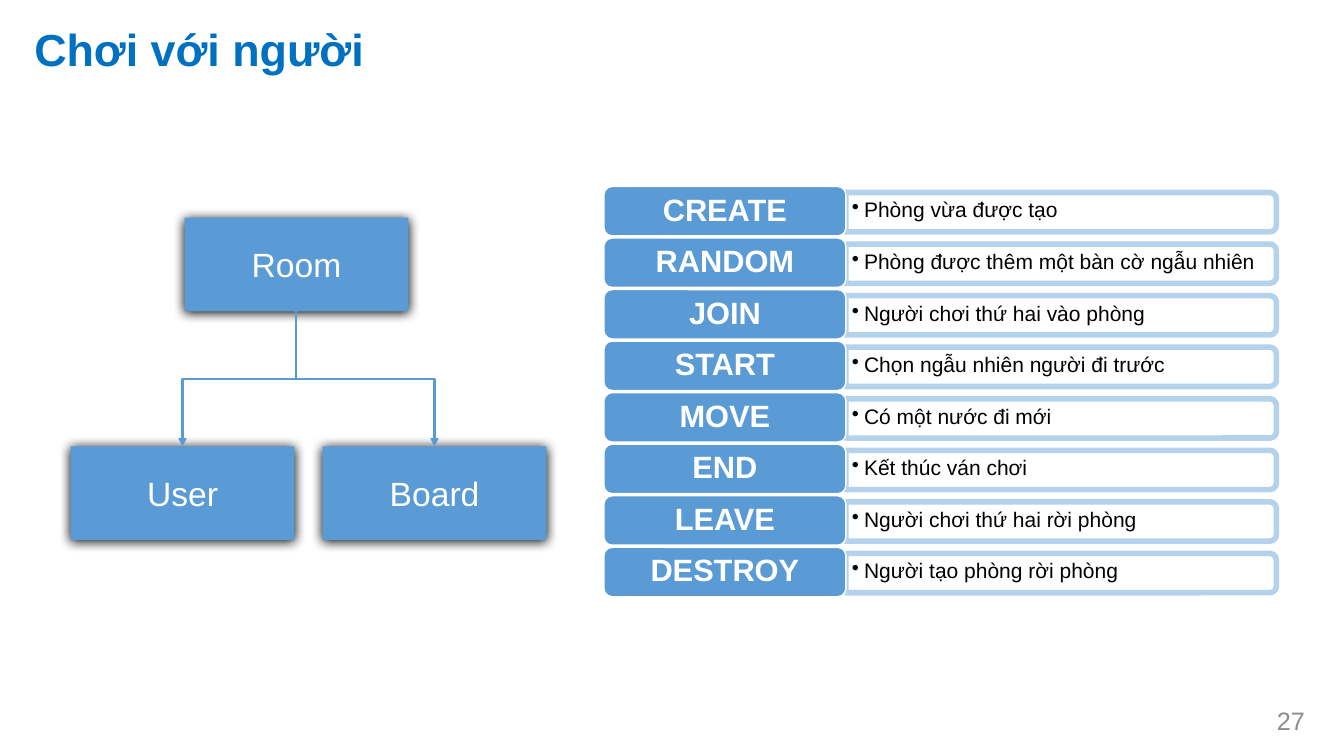
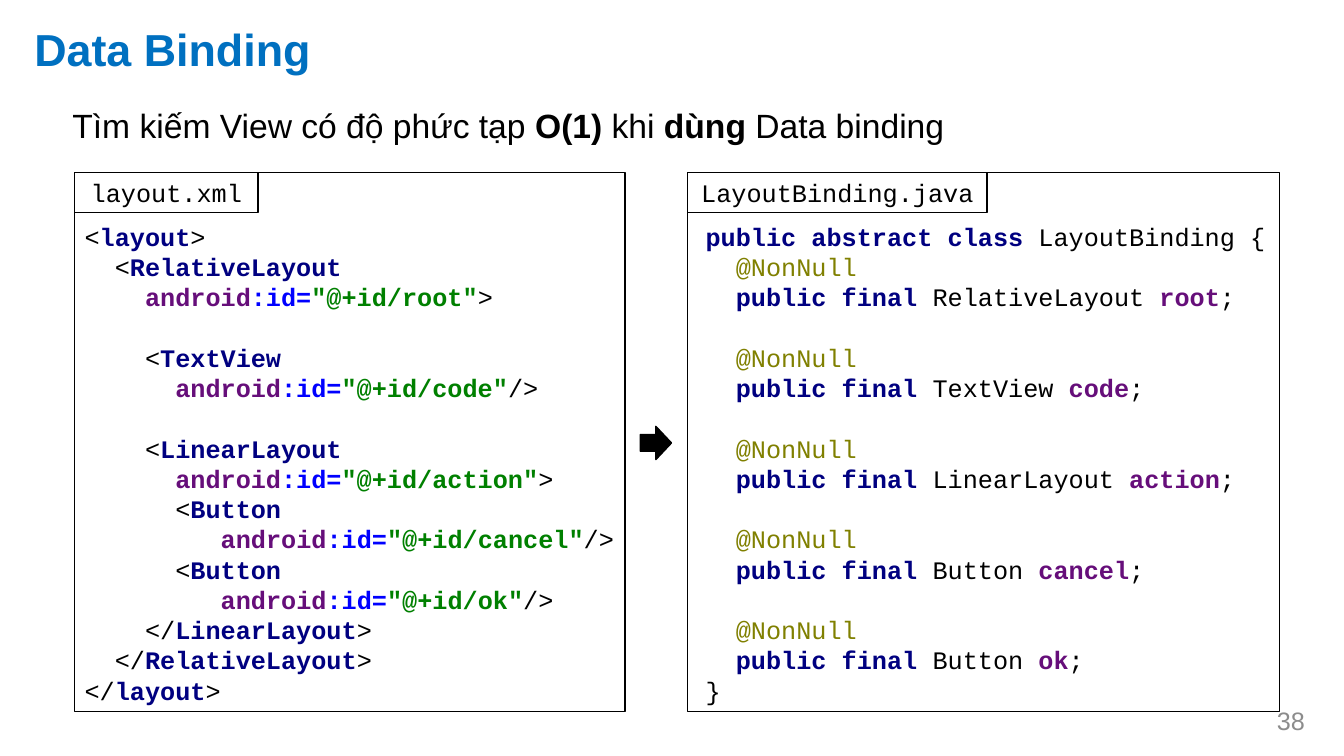
import copy

import pptx
import pptx.dml.color
import pptx.enum.shapes
import pptx.enum.text
import pptx.oxml
import pptx.oxml.ns
import pptx.util
from pptx.util import Inches

RGBColor = pptx.dml.color.RGBColor
Shape = pptx.enum.shapes.MSO_SHAPE
Anchor = pptx.enum.text.MSO_ANCHOR
Align = pptx.enum.text.PP_ALIGN

WHITE = RGBColor(0xFF, 0xFF, 0xFF)
BLACK = RGBColor(0, 0, 0)
TITLE_BLUE = RGBColor(0x00, 0x70, 0xC0)
BOX_BLUE = RGBColor(0x5B, 0x9B, 0xD5)
PALE_BLUE = RGBColor(0xB5, 0xD2, 0xEC)
PAGE_GREY = RGBColor(0x8C, 0x8C, 0x8C)
NAVY = RGBColor(0x00, 0x00, 0x80)
PURPLE = RGBColor(0x66, 0x0E, 0x7A)
ATTRIBUTE_BLUE = RGBColor(0x00, 0x00, 0xFF)
GREEN = RGBColor(0x00, 0x80, 0x00)
OLIVE = RGBColor(0x80, 0x80, 0x00)

SANS = "Arial"
MONO = "Courier New"
NS = pptx.oxml.ns.nsdecls("a")
MIDDLE = {"vertical_anchor": Anchor.MIDDLE, "word_wrap": True}
LEFT = {"alignment": Align.LEFT}
CENTER = {"alignment": Align.CENTER}


def write(shape, runs, font, frame, layout):
    for key, value in frame.items():
        setattr(shape.text_frame, key, value)
    paragraph = shape.text_frame.paragraphs[0]
    for key, value in layout.items():
        setattr(paragraph, key, value)
    for text, color, bold in runs:
        for index, piece in enumerate(text.split("\n")):
            if index:
                paragraph.add_line_break()
            run = paragraph.add_run()
            run.text = piece
            for key, value in {**font, "bold": bold}.items():
                setattr(run.font, key, value)
            run.font.color.rgb = color
            if index:
                line_break = run._r.getprevious()
                line_break.append(copy.deepcopy(run._r.rPr))
            if not piece:
                paragraph._p.remove(run._r)
    return paragraph


def add_box(slide, kind, at, fill=None, line=None, weight=1):
    box = slide.shapes.add_shape(kind, *map(Inches, at))
    box.shadow.inherit = False
    for part, color in ((box.fill, fill), (box.line.fill, line)):
        if color is None:
            part.background()
        else:
            part.solid()
            part.fore_color.rgb = color
    if line is not None:
        box.line.width = pptx.util.Pt(weight)
    return box


deck = pptx.Presentation()
deck.slide_width = Inches(13.33)
deck.slide_height = Inches(7.5)

slides = []
for heading, number in (("Chơi với người", "27"), ("Data Binding", "38")):
    slide = deck.slides.add_slide(deck.slide_layouts[5])
    title = slide.shapes.title
    for key, value in zip(("left", "top", "width", "height"), (0.24, 0.17, 12.8, 0.64)):
        setattr(title, key, Inches(value))
    write(title, [(heading, TITLE_BLUE, True)],
          {"name": SANS, "size": pptx.util.Pt(32)},
          {"vertical_anchor": Anchor.TOP, "word_wrap": True,
           "auto_size": pptx.enum.text.MSO_AUTO_SIZE.NONE}, LEFT)
    page = slide.shapes.add_textbox(Inches(10.04), Inches(6.95), Inches(3), Inches(0.4))
    write(page, [(number, PAGE_GREY, False)],
          {"name": SANS, "size": pptx.util.Pt(18)}, MIDDLE, {"alignment": Align.RIGHT})
    slides.append(slide)
game, binding = slides

messages = [
    ("CREATE", "Phòng vừa được tạo"),
    ("RANDOM", "Phòng được thêm một bàn cờ ngẫu nhiên"),
    ("JOIN", "Người chơi thứ hai vào phòng"),
    ("START", "Chọn ngẫu nhiên người đi trước"),
    ("MOVE", "Có một nước đi mới"),
    ("END", "Kết thúc ván chơi"),
    ("LEAVE", "Người chơi thứ hai rời phòng"),
    ("DESTROY", "Người tạo phòng rời phòng"),
]
row_pitch = 3.58 / 7
for row, (command, meaning) in enumerate(messages):
    top = 1.85 + row * row_pitch
    track = add_box(game, Shape.ROUND_2_SAME_RECTANGLE,
                    (10.33, top - 1.88, 0.39, 4.27), line=PALE_BLUE, weight=4)
    track.rotation = 90
    note = game.shapes.add_textbox(Inches(8.39), Inches(top + 0.07), Inches(4.25), Inches(0.35))
    bullet = write(note, [(meaning, BLACK, False)],
                   {"name": SANS, "size": pptx.util.Pt(15)},
                   {**MIDDLE, "margin_left": Inches(0.06), "margin_right": Inches(0.06),
                    "margin_top": Inches(0.03), "margin_bottom": Inches(0.03)},
                   {"line_spacing": 0.9, "alignment": Align.LEFT})
    properties = bullet._p.get_or_add_pPr()
    properties.set("marL", str(Inches(0.12)))
    properties.set("indent", str(-Inches(0.12)))
    properties.append(pptx.oxml.parse_xml(f'<a:buChar {NS} char="•"/>'))
    label = add_box(game, Shape.ROUNDED_RECTANGLE, (5.99, top, 2.4, 0.49), BOX_BLUE, WHITE)
    write(label, [(command, WHITE, True)], {"name": SANS, "size": pptx.util.Pt(22)},
          MIDDLE, {"line_spacing": 0.9, "alignment": Align.CENTER})

entities = []
for entity, left, top in (("Room", 1.83, 2.16), ("User", 0.7, 4.43), ("Board", 3.2, 4.43)):
    box = add_box(game, Shape.RECTANGLE, (left, top, 2.22, 0.93), BOX_BLUE)
    box._element.spPr.find(pptx.oxml.ns.qn("a:effectLst")).append(pptx.oxml.parse_xml(
        f'<a:outerShdw {NS} blurRad="107950" dist="12700" dir="5400000" algn="ctr" '
        'rotWithShape="0"><a:srgbClr val="000000"/></a:outerShdw>'))
    write(box, [(entity, WHITE, False)], {"name": SANS, "size": pptx.util.Pt(24)},
          MIDDLE, CENTER)
    entities.append(box)

room = entities[0]
for child in entities[1:]:
    start_x, start_y = room.left + room.width // 2, room.top + room.height
    end_x, end_y = child.left + child.width // 2, child.top
    link = game.shapes.add_connector(
        pptx.enum.shapes.MSO_CONNECTOR.ELBOW, start_x, start_y, end_x, end_y)
    link.begin_connect(room, 2)
    link.end_connect(child, 0)
    drop, span = end_y - start_y, abs(end_x - start_x)
    turned = {"left": (start_x + end_x - drop) // 2, "top": (start_y + end_y - span) // 2,
              "width": drop, "height": span}
    for key, value in turned.items():
        setattr(link, key, value)
    to_right = end_x > start_x
    frame = link._element.spPr.find(pptx.oxml.ns.qn("a:xfrm"))
    for key, value in {"rot": "16200000" if to_right else "5400000",
                       "flipH": "1" if to_right else "0", "flipV": "0"}.items():
        frame.set(key, value)
    link.line.color.rgb = BOX_BLUE
    link.line.width = pptx.util.Pt(1.5)
    link.line._get_or_add_ln().append(pptx.oxml.parse_xml(f'<a:tailEnd {NS} type="triangle"/>'))
    link._element.spPr.append(pptx.oxml.parse_xml(f"<a:effectLst {NS}/>"))

layout_code = []
for opening, tag, indent, view_id, closing in (
    ("<", "layout", "", "", ">"),
    ("\n  <", "RelativeLayout", "\n    ", "root", ">"),
    ("\n\n    <", "TextView", "\n      ", "code", "/>"),
    ("\n\n    <", "LinearLayout", "\n      ", "action", ">"),
    ("\n      <", "Button", "\n         ", "cancel", "/>"),
    ("\n      <", "Button", "\n         ", "ok", "/>"),
    ("\n    </", "LinearLayout", "", "", ">"),
    ("\n  </", "RelativeLayout", "", "", ">"),
    ("\n</", "layout", "", "", ">"),
):
    layout_code += [(opening, BLACK, False), (tag + indent, NAVY, True)]
    if view_id:
        layout_code += [("android", PURPLE, True), (":id=", ATTRIBUTE_BLUE, True),
                        (f'"@+id/{view_id}"', GREEN, True)]
    layout_code.append((closing, BLACK, False))

java_code = [("public abstract class ", NAVY, True), ("LayoutBinding {", BLACK, False)]
gap = "\n  "
for view, field in (("RelativeLayout", "root"), ("TextView", "code"),
                    ("LinearLayout", "action"), ("Button", "cancel"), ("Button", "ok")):
    java_code += [(gap, BLACK, False), ("@NonNull\n  ", OLIVE, False),
                  ("public final ", NAVY, True), (view + " ", BLACK, False),
                  (field, PURPLE, True), (";", BLACK, False)]
    gap = "\n\n  "
java_code.append(("\n}", BLACK, False))

code_font = {"name": MONO, "size": pptx.util.Pt(18)}
for file_name, code, left, width, tab_width, inset in (
    ("layout.xml", layout_code, 0.74, 5.46, 1.82, 0),
    ("LayoutBinding.java", java_code, 6.82, 5.87, 2.97, 0.08),
):
    listing = add_box(binding, Shape.RECTANGLE, (left + inset, 2.12, width - inset, 4.95), WHITE)
    write(listing, code, code_font, MIDDLE, LEFT)
    tab = add_box(binding, Shape.RECTANGLE, (left, 1.71, tab_width, 0.4), line=BLACK)
    write(tab, [(file_name, BLACK, False)], code_font, MIDDLE, CENTER)
    add_box(binding, Shape.RECTANGLE, (left, 1.71, width, 5.35), line=BLACK)

add_box(binding, Shape.RIGHT_ARROW, (6.35, 4.23, 0.31, 0.33), BLACK, BLACK)

claim = binding.shapes.add_textbox(Inches(0.62), Inches(0.99), Inches(8.86), Inches(0.5))
write(claim, [("Tìm kiếm View có độ phức tạp ", BLACK, False), ("O(1)", BLACK, True),
              (" khi ", BLACK, False), ("dùng", BLACK, True),
              (" Data binding", BLACK, False)],
      {"name": SANS, "size": pptx.util.Pt(24)}, {"word_wrap": True}, LEFT)

deck.save("out.pptx")
